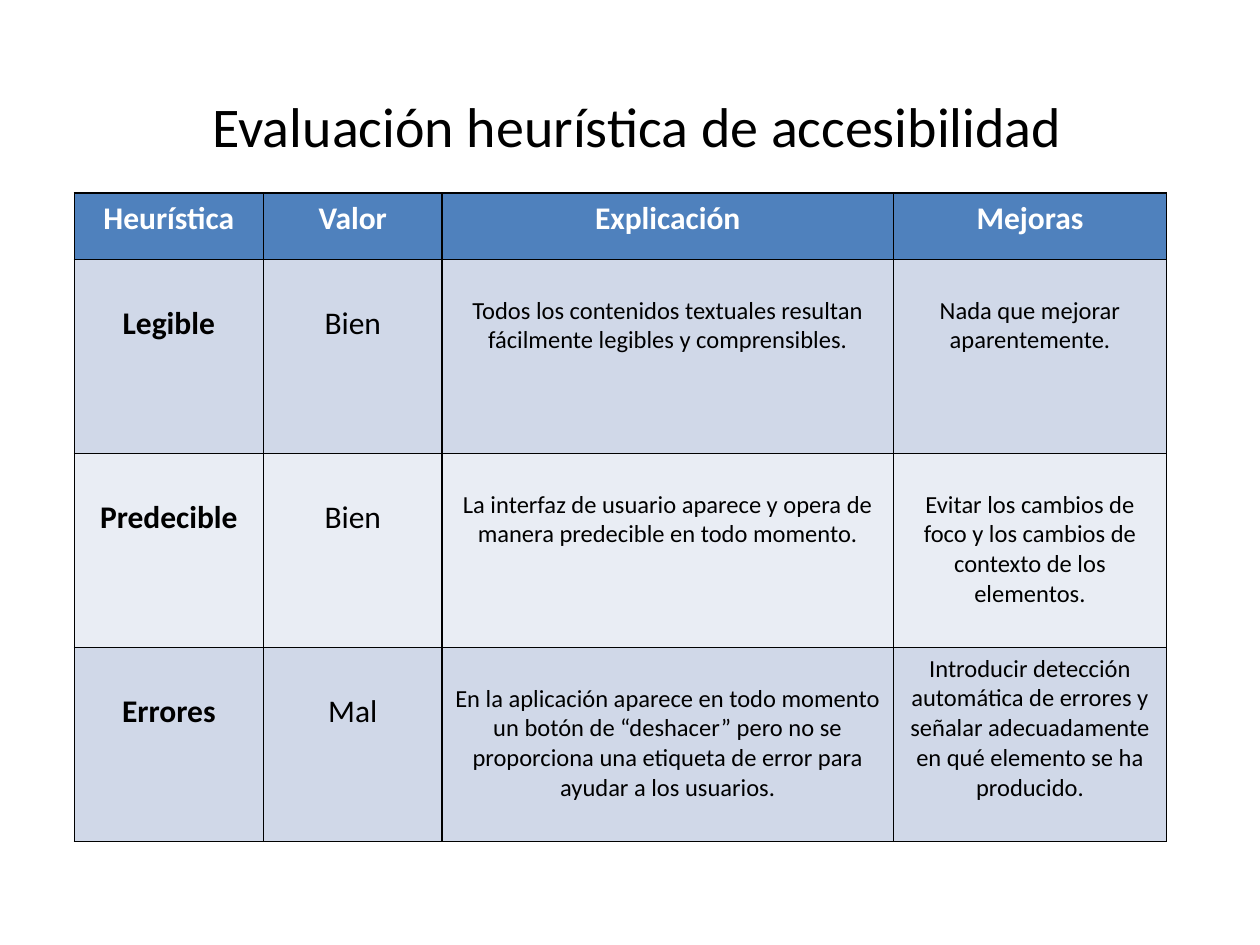
from dataclasses import dataclass

import pptx
import pptx.dml.color
import pptx.enum.text
import pptx.oxml
import pptx.oxml.ns
import pptx.util
from pptx.util import Inches

RGBColor = pptx.dml.color.RGBColor
BLACK = RGBColor(0x00, 0x00, 0x00)
WHITE = RGBColor(0xFF, 0xFF, 0xFF)
HEADER_BLUE = RGBColor(0x4F, 0x81, 0xBD)
BANDS = (RGBColor(0xD0, 0xD8, 0xE8), RGBColor(0xE9, 0xED, 0xF4))

FONT = "Calibri"
LABEL_SIZE, DETAIL_SIZE = 18, 14
CELL_MARGIN = 0.05
LINE_HEIGHT = 1.22
COLUMN_WIDTHS = (1.5, 1.42, 3.58, 2.17)
HEADER_HEIGHT, ROW_HEIGHT = 0.53, 1.54
HEADINGS = ("Heurística", "Valor", "Explicación", "Mejoras")


@dataclass(frozen=True)
class Evaluation:
    heuristic: str
    rating: str
    explanation: str
    improvement: str
    improvement_lowered: bool = True


EVALUATIONS = (
    Evaluation(
        "Legible", "Bien",
        "Todos los contenidos textuales resultan fácilmente legibles y comprensibles.",
        "Nada que mejorar aparentemente.",
    ),
    Evaluation(
        "Predecible", "Bien",
        "La interfaz de usuario aparece y opera de manera predecible en todo momento.",
        "Evitar los cambios de foco y los cambios de contexto de los elementos.",
    ),
    Evaluation(
        "Errores", "Mal",
        "En la aplicación aparece en todo momento un botón de “deshacer” pero no se "
        "proporciona una etiqueta de error para ayudar a los usuarios.",
        "Introducir detección automática de errores y señalar adecuadamente en qué "
        "elemento se ha producido.",
        improvement_lowered=False,
    ),
)


def write_text(frame, text: str, *, size: float, color: RGBColor = BLACK,
               bold: bool = False) -> None:
    frame.word_wrap = True
    paragraph = frame.paragraphs[0]
    paragraph.alignment = pptx.enum.text.PP_ALIGN.CENTER
    run = paragraph.add_run()
    run.text = text
    run.font.name = FONT
    run.font.size = pptx.util.Pt(size)
    run.font.bold = bold
    run.font.color.rgb = color


def add_borders(cell) -> None:
    """Put black 1 pt lines on all sides; they must precede the cell's fill."""
    properties = cell._tc.get_or_add_tcPr()
    for side in ("lnL", "lnR", "lnT", "lnB"):
        properties.append(pptx.oxml.parse_xml(
            f'<a:{side} {pptx.oxml.ns.nsdecls("a")} w="{pptx.util.Pt(1)}">'
            f'<a:solidFill><a:srgbClr val="{BLACK}"/></a:solidFill></a:{side}>'
        ))


def fill_cell(cell, text: str, *, fill: RGBColor, size: float,
              color: RGBColor = BLACK, bold: bool = False,
              lowered: bool = False) -> None:
    """Format a cell; a lowered one starts its text one line further down."""
    add_borders(cell)
    cell.fill.solid()
    cell.fill.fore_color.rgb = fill
    offset = size * LINE_HEIGHT / 72 if lowered else 0
    cell.margin_top = Inches(CELL_MARGIN + offset)
    write_text(cell.text_frame, text, size=size, color=color, bold=bold)


def add_title(slide) -> None:
    title = slide.shapes.title
    title.left, title.top = Inches(0.12), Inches(0.68)
    title.width, title.height = Inches(9.88), Inches(1.18)
    title.text_frame.vertical_anchor = pptx.enum.text.MSO_ANCHOR.TOP
    write_text(title.text_frame, "Evaluación heurística de accesibilidad", size=32)


def add_evaluation_table(slide) -> None:
    table = slide.shapes.add_table(
        len(EVALUATIONS) + 1, len(HEADINGS), Inches(0.59), Inches(1.53),
        Inches(sum(COLUMN_WIDTHS)),
        Inches(HEADER_HEIGHT + ROW_HEIGHT * len(EVALUATIONS)),
    ).table
    for column, width in zip(table.columns, COLUMN_WIDTHS):
        column.width = Inches(width)

    table.rows[0].height = Inches(HEADER_HEIGHT)
    for column, heading in enumerate(HEADINGS):
        fill_cell(table.cell(0, column), heading, fill=HEADER_BLUE,
                  size=LABEL_SIZE, color=WHITE, bold=True)

    for row, evaluation in enumerate(EVALUATIONS, start=1):
        table.rows[row].height = Inches(ROW_HEIGHT)
        band = BANDS[(row - 1) % len(BANDS)]
        fill_cell(table.cell(row, 0), evaluation.heuristic, fill=band,
                  size=LABEL_SIZE, bold=True, lowered=True)
        fill_cell(table.cell(row, 1), evaluation.rating, fill=band,
                  size=LABEL_SIZE, lowered=True)
        fill_cell(table.cell(row, 2), evaluation.explanation, fill=band,
                  size=DETAIL_SIZE, lowered=True)
        fill_cell(table.cell(row, 3), evaluation.improvement, fill=band,
                  size=DETAIL_SIZE, lowered=evaluation.improvement_lowered)


def main() -> None:
    presentation = pptx.Presentation()
    presentation.slide_width = Inches(10)
    presentation.slide_height = Inches(7.5)
    slide = presentation.slides.add_slide(presentation.slide_layouts[5])
    add_title(slide)
    add_evaluation_table(slide)
    presentation.save("out.pptx")


if __name__ == "__main__":
    main()
